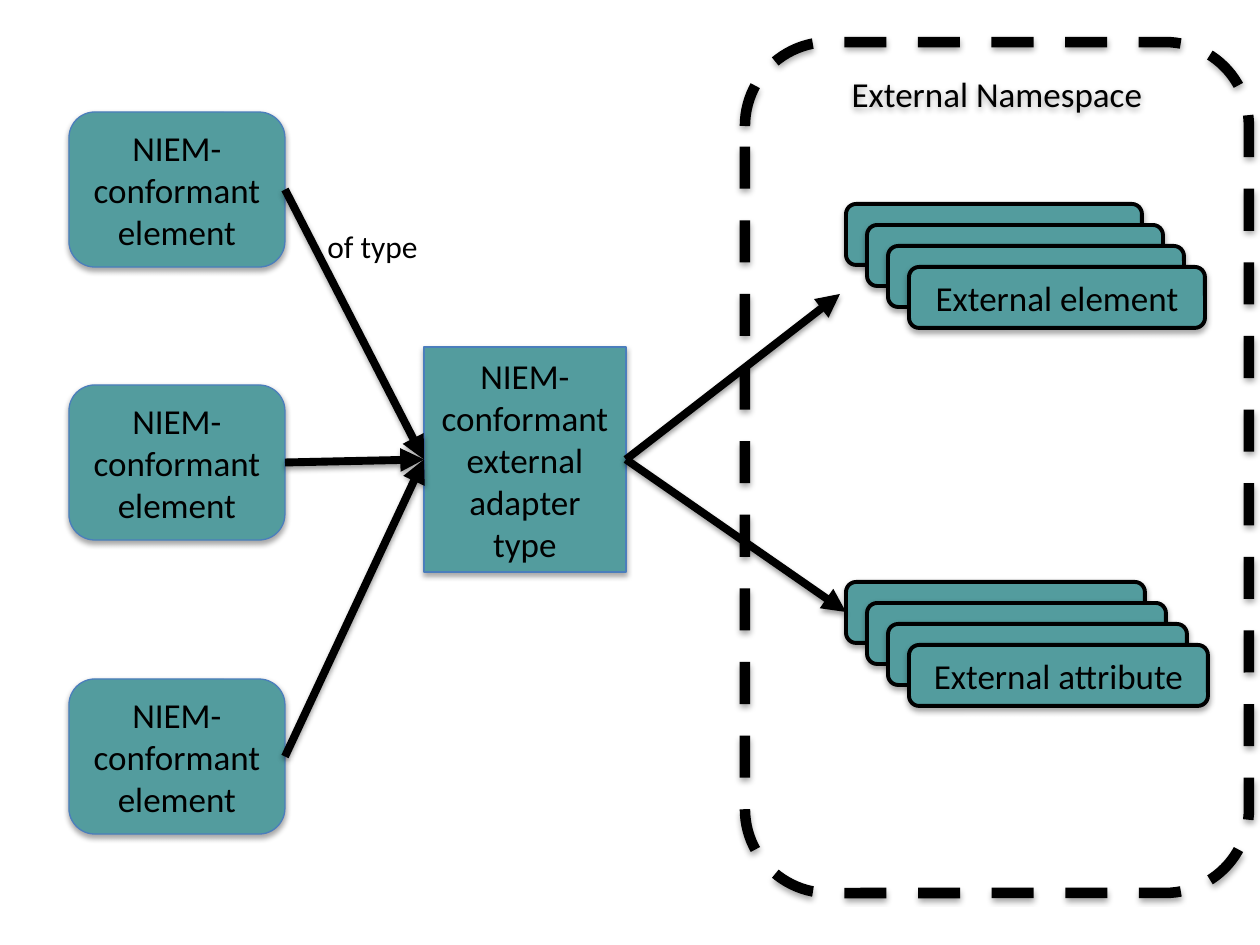
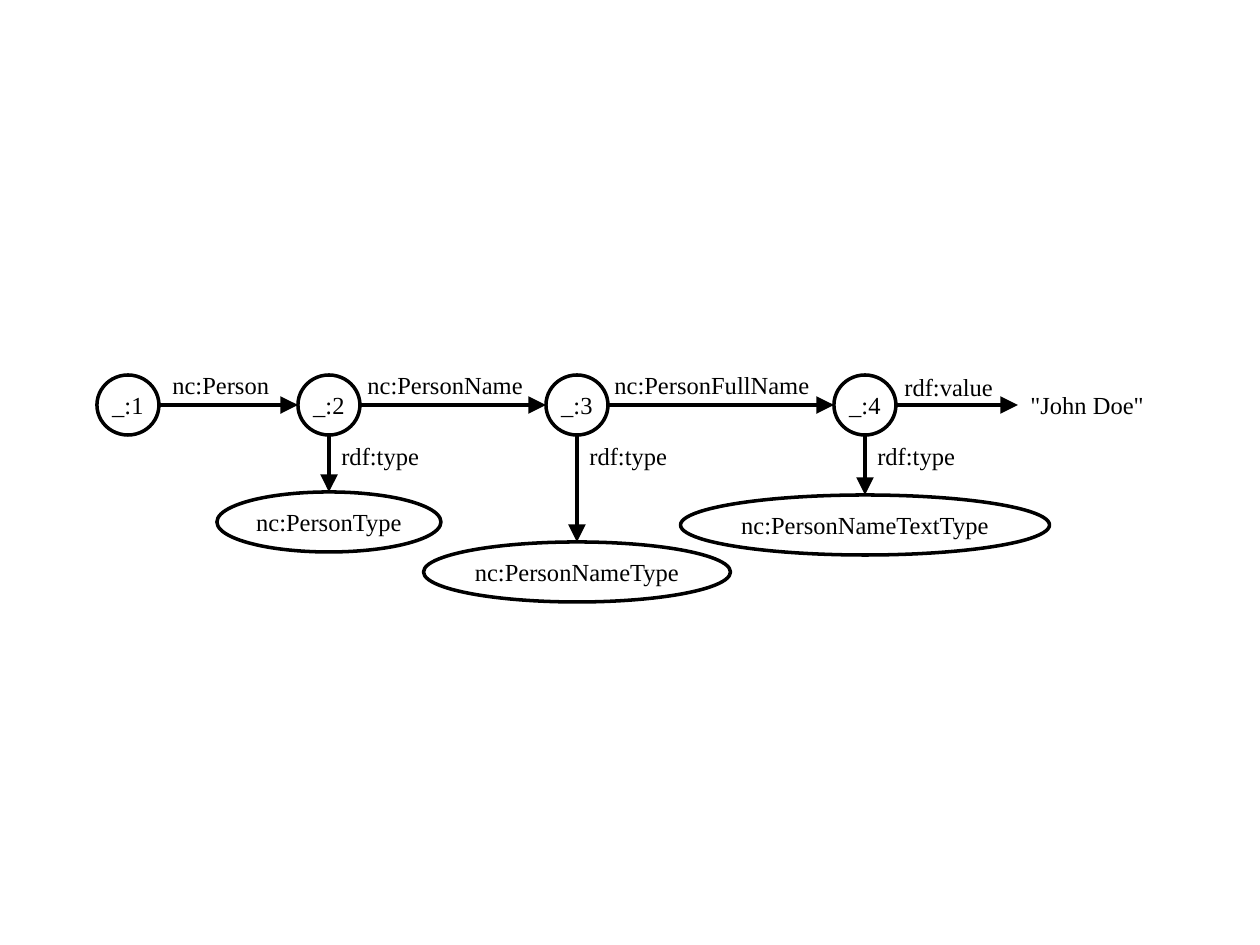
import dataclasses
import typing

import lxml.etree
import pptx
import pptx.dml.color
import pptx.enum.dml
import pptx.enum.shapes
import pptx.enum.text
import pptx.oxml.ns
import pptx.util

EMU_PER_PIXEL = 914400 / 126
COLORS = {"ink": "000000", "teal": "539C9E", "blue": "4B7EBC"}
SHAPE = pptx.enum.shapes.MSO_SHAPE
ANCHOR = pptx.enum.text.MSO_ANCHOR
ALIGN = pptx.enum.text.PP_ALIGN
FIT = pptx.enum.text.MSO_AUTO_SIZE


@dataclasses.dataclass(frozen=True)
class Box:
    left: float
    top: float
    width: float
    height: float

    @property
    def center_x(self) -> float:
        return self.left + self.width / 2

    @property
    def center_y(self) -> float:
        return self.top + self.height / 2

    @property
    def right(self) -> float:
        return self.left + self.width

    @property
    def bottom(self) -> float:
        return self.top + self.height

    def shifted(self, offset: float) -> "Box":
        return dataclasses.replace(self, left=self.left + offset, top=self.top + offset)

    def emu(self) -> tuple:
        return tuple(px(n) for n in (self.left, self.top, self.width, self.height))


@dataclasses.dataclass(frozen=True)
class Style:
    preset: int
    line: str
    weight: float
    font: str
    size: int
    fill: typing.Optional[str] = None
    dash: typing.Optional[int] = None
    shadow: bool = True
    anchor: int = ANCHOR.MIDDLE
    inset: typing.Optional[float] = None
    grow: bool = True


@dataclasses.dataclass(frozen=True)
class ArrowStyle:
    weight: float
    head: str
    shadow: bool


@dataclasses.dataclass(frozen=True)
class Node:
    left: int
    name: str
    type_name: str = ""
    type_top: int = 0
    type_width: int = 0


@dataclasses.dataclass(frozen=True)
class Property:
    name: str
    left: int
    top: int
    width: int


SANS, SERIF = "Calibri", "Times New Roman"
NAMESPACE = Style(SHAPE.ROUNDED_RECTANGLE, "ink", 6, SANS, 20, anchor=ANCHOR.TOP,
                  dash=pptx.enum.dml.MSO_LINE.DASH, grow=False)
ADAPTER = Style(SHAPE.RECTANGLE, "blue", 0.75, SANS, 20, fill="teal")
ELEMENT = dataclasses.replace(ADAPTER, preset=SHAPE.ROUNDED_RECTANGLE)
CARD = dataclasses.replace(ELEMENT, line="ink", weight=2.25)
OVAL = Style(SHAPE.OVAL, "ink", 2, SERIF, 14, shadow=False, inset=0.04)
THICK_ARROW = ArrowStyle(4.5, "med", True)
GRAPH_ARROW = ArrowStyle(2, "lg", False)


def px(length: float) -> int:
    return round(length * EMU_PER_PIXEL)


def color(name: str) -> pptx.dml.color.RGBColor:
    return pptx.dml.color.RGBColor.from_string(COLORS[name])


def add_child(parent, tag: str, **attributes: str):
    return lxml.etree.SubElement(parent, pptx.oxml.ns.qn(tag), **attributes)


def add_shadow(effects, distance: int, alpha: int) -> None:
    shadow = add_child(effects, "a:outerShdw", blurRad="40000", dist=str(distance),
                       dir="5400000", rotWithShape="0")
    add_child(add_child(shadow, "a:srgbClr", val=COLORS["ink"]), "a:alpha", val=str(alpha))


def write_text(frame, text: str, *, font: str, size: int, align: int = ALIGN.LEFT,
               anchor: int = ANCHOR.TOP, inset: typing.Optional[float] = None,
               grow: bool = True) -> None:
    frame.word_wrap = False
    frame.auto_size = FIT.SHAPE_TO_FIT_TEXT if grow else FIT.NONE
    frame.vertical_anchor = anchor
    if inset is not None:
        margin = pptx.util.Inches(inset)
        frame.margin_left = frame.margin_right = margin
        frame.margin_top = frame.margin_bottom = margin
    para = frame.paragraphs[0]
    para.alignment = align
    for number, line in enumerate(text.split("\n")):
        if number:
            para.add_line_break()
        span = para.add_run()
        span.text = line
        span.font.name = font
        span.font.size = pptx.util.Pt(size)
        span.font.color.rgb = color("ink")


def add_box(page, box: Box, text: str, style: Style) -> Box:
    shape = page.shapes.add_shape(style.preset, *box.emu())
    if style.fill:
        shape.fill.solid()
        shape.fill.fore_color.rgb = color(style.fill)
    else:
        shape.fill.background()
    shape.line.color.rgb = color(style.line)
    shape.line.width = pptx.util.Pt(style.weight)
    if style.dash is not None:
        shape.line.dash_style = style.dash
    shape.shadow.inherit = False
    if style.shadow:
        effects = shape._element.spPr.find(pptx.oxml.ns.qn("a:effectLst"))
        add_shadow(effects, 23000, 35000)
    write_text(shape.text_frame, text, font=style.font, size=style.size, align=ALIGN.CENTER,
               anchor=style.anchor, inset=style.inset, grow=style.grow)
    return box


def add_label(page, box: Box, text: str, font: str, size: int) -> None:
    label = page.shapes.add_textbox(*box.emu())
    write_text(label.text_frame, text, font=font, size=size)


def add_arrow(page, start: tuple, end: tuple, style: ArrowStyle) -> None:
    arrow = page.shapes.add_connector(pptx.enum.shapes.MSO_CONNECTOR.STRAIGHT,
                                      *(px(n) for n in start + end))
    arrow.line.color.rgb = color("ink")
    arrow.line.width = pptx.util.Pt(style.weight)
    properties = arrow._element.spPr
    add_child(properties.find(pptx.oxml.ns.qn("a:ln")), "a:tailEnd",
              type="triangle", w=style.head, len=style.head)
    effects = add_child(properties, "a:effectLst")
    if style.shadow:
        add_shadow(effects, 20000, 38000)


def draw_adapter_page(page) -> None:
    add_box(page, Box(745, 42, 504, 851), "External Namespace", NAMESPACE)
    adapter = add_box(page, Box(424, 347, 202, 225),
                      "NIEM-\nconformant\nexternal\nadapter\ntype", ADAPTER)
    elements = [add_box(page, Box(69, top, 216, 155), "NIEM-\nconformant\nelement", ELEMENT)
                for top in (112, 385, 679)]
    for text, top, width in (("External element", 204, 296), ("External attribute", 582, 299)):
        for step in range(4):
            add_box(page, Box(846, top, width, 61).shifted(21 * step), text, CARD)
    for target in ((840, 294), (846, 612)):
        add_arrow(page, (adapter.right, adapter.center_y), target, THICK_ARROW)
    for element in elements:
        add_arrow(page, (element.right, element.center_y),
                  (adapter.left, adapter.center_y), THICK_ARROW)
    add_label(page, Box(315, 221, 121, 50), "of type", SANS, 18)


def draw_graph_page(page) -> None:
    label_height, node_width, node_height, node_top = 43, 62, 60, 375
    value_left = 1018
    nodes = [
        Node(97, "_:1"),
        Node(298, "_:2", "nc:PersonType", 492, 224),
        Node(546, "_:3", "nc:PersonNameType", 542, 307),
        Node(834, "_:4", "nc:PersonNameTextType", 495, 369),
    ]
    properties = [
        Property("nc:Person", 160, 364, 123),
        Property("nc:PersonName", 355, 364, 183),
        Property("nc:PersonFullName", 602, 364, 222),
        Property("rdf:value", 892, 366, 115),
    ]
    targets = [node.left for node in nodes[1:]] + [value_left]
    for node, link, target in zip(nodes, properties, targets):
        circle = add_box(page, Box(node.left, node_top, node_width, node_height),
                         node.name, OVAL)
        add_arrow(page, (circle.right, circle.center_y), (target, circle.center_y),
                  GRAPH_ARROW)
        add_label(page, Box(link.left, link.top, link.width, label_height),
                  link.name, SERIF, 14)
        if node.type_name:
            add_box(page, Box(circle.center_x - node.type_width / 2, node.type_top,
                              node.type_width, node_height), node.type_name, OVAL)
            add_arrow(page, (circle.center_x, circle.bottom),
                      (circle.center_x, node.type_top), GRAPH_ARROW)
            add_label(page, Box(circle.center_x, circle.bottom, 103, label_height),
                      "rdf:type", SERIF, 14)
    add_label(page, Box(value_left, 384, 140, label_height), '"John Doe"', SERIF, 14)


deck = pptx.Presentation()
deck.slide_width = px(1260)
deck.slide_height = px(945)
for draw_page in (draw_adapter_page, draw_graph_page):
    draw_page(deck.slides.add_slide(deck.slide_layouts[6]))
deck.save("out.pptx")
